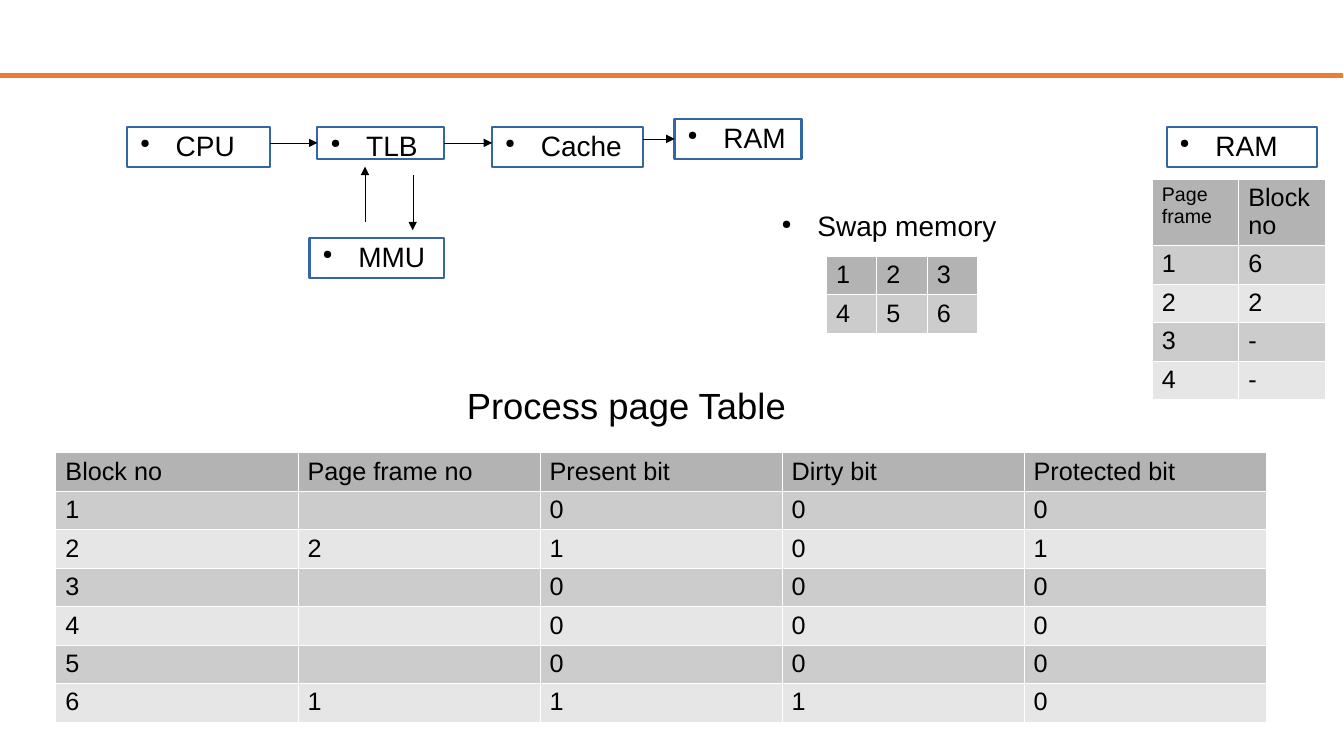
from lxml import etree
from pptx import Presentation
from pptx.dml.color import RGBColor
from pptx.enum import shapes, text
from pptx.oxml import ns
from pptx.util import Cm, Pt

COLORS = {
    "text": "000000", "rule": "ED7D31", "box": "3465A4", "border": "FFFFFF",
    "header": "B3B3B3", "odd": "CCCCCC", "even": "E6E6E6",
}
FONT = "Arial"


def add_xml(parent, tag, **attributes):
    return etree.SubElement(parent, ns.qn(tag), **attributes)


def format_text(frame, size, margins):
    frame.word_wrap = True
    frame.auto_size = text.MSO_AUTO_SIZE.NONE
    frame.margin_left = frame.margin_right = Cm(margins)
    frame.margin_top = frame.margin_bottom = Cm(margins)
    for run in frame.paragraphs[0].runs:
        run.font.size = Pt(size)
        run.font.name = FONT
        run.font.color.rgb = RGBColor.from_string(COLORS["text"])


presentation = Presentation()
presentation.slide_width, presentation.slide_height = Cm(33.87), Cm(19.05)
slide = presentation.slides.add_slide(presentation.slide_layouts[5])

title = slide.shapes.title
title.left, title.top, title.width, title.height = Cm(7.19), Cm(9.6), Cm(17.2), Cm(1.19)
title.text_frame.text = "Process page Table"
title.text_frame.vertical_anchor = text.MSO_ANCHOR.MIDDLE
title.text_frame.paragraphs[0].alignment = text.PP_ALIGN.CENTER
format_text(title.text_frame, 26, 0)

tables = [
    (20.82, 6.45, 1.27, 0.97, [["1", "2", "3"], ["4", "5", "6"]]),
    (1.4, 11.4, 6.1, 0.97, [
        ["Block no", "Page frame no", "Present bit", "Dirty bit", "Protected bit"],
        ["1", "", "0", "0", "0"],
        ["2", "2", "1", "0", "1"],
        ["3", "", "0", "0", "0"],
        ["4", "", "0", "0", "0"],
        ["5", "", "0", "0", "0"],
        ["6", "1", "1", "1", "0"],
    ]),
    (29.03, 4.5, 2.18, 1.68, [
        ["Page frame", "Block no"], ["1", "6"], ["2", "2"], ["3", "-"], ["4", "-"],
    ]),
]
for left, top, column_width, header_height, rows in tables:
    width = column_width * len(rows[0])
    height = header_height + 0.97 * (len(rows) - 1)
    table = slide.shapes.add_table(
        len(rows), len(rows[0]), Cm(left), Cm(top), Cm(width), Cm(height)).table
    table.first_row = table.horz_banding = False
    for column in table.columns:
        column.width = Cm(column_width)
    for row_index, values in enumerate(rows):
        table.rows[row_index].height = Cm(0.97 if row_index else header_height)
        shade = "header" if row_index == 0 else "odd" if row_index % 2 else "even"
        for column_index, value in enumerate(values):
            cell = table.cell(row_index, column_index)
            cell.margin_left = cell.margin_right = Cm(0.25)
            cell.margin_top = cell.margin_bottom = Cm(0.12)
            for side in ("a:lnL", "a:lnR", "a:lnT", "a:lnB"):
                border = add_xml(cell._tc.get_or_add_tcPr(), side, w=str(Pt(0.06)))
                add_xml(add_xml(border, "a:solidFill"), "a:srgbClr", val=COLORS["border"])
            cell.fill.solid()
            cell.fill.fore_color.rgb = RGBColor.from_string(COLORS[shade])
            cell.text_frame.text = value
            paragraph = cell.text_frame.paragraphs[0]
            for run in paragraph.runs:
                run.font.size = Pt(14 if value == "Page frame" else 18)
                run.font.name = FONT
                run.font.color.rgb = RGBColor.from_string(COLORS["text"])
            if not value:
                ending = add_xml(paragraph._p, "a:endParaRPr", sz="1800")
                add_xml(ending, "a:latin", typeface=FONT)

labels = [
    ("swap", "Swap memory", 19.4, 5.25, 8.6, 1),
    ("cpu", "CPU", 3.2, 3.2, 3.6, 1),
    ("tlb", "TLB", 8, 3.2, 3.2, 0.8),
    ("cache", "Cache", 12.4, 3.2, 3.8, 1),
    ("ram", "RAM", 17, 3, 3.2, 1),
    ("mmu", "MMU", 7.8, 6, 3.4, 1),
    ("ram table", "RAM", 29.4, 3.2, 3.8, 1),
]
boxes = {}
for key, label, left, top, width, height in labels:
    bounds = Cm(left), Cm(top), Cm(width), Cm(height)
    if key == "swap":
        shape = slide.shapes.add_textbox(*bounds)
    else:
        shape = slide.shapes.add_shape(shapes.MSO_SHAPE.RECTANGLE, *bounds)
        shape.shadow.inherit = False
        shape.fill.background()
        shape.line.color.rgb = RGBColor.from_string(COLORS["box"])
        shape.line.width = Pt(1.5)
    boxes[key] = shape
    shape.text_frame.text = label
    shape.text_frame.vertical_anchor = text.MSO_ANCHOR.TOP
    format_text(shape.text_frame, 20, 0 if key == "swap" else 0.03)
    paragraph = shape.text_frame.paragraphs[0]
    paragraph.alignment = text.PP_ALIGN.LEFT
    properties = paragraph._p.get_or_add_pPr()
    properties.set("marL", str(Cm(1.2)))
    properties.set("indent", str(Cm(-0.9)))
    add_xml(add_xml(properties, "a:buClr"), "a:srgbClr", val=COLORS["text"])
    add_xml(properties, "a:buSzPct", val="45000")
    add_xml(properties, "a:buChar", char="●")

lines = [
    (-0.03, 1.9, 33.84, 1.9, "rule", 3, None, None),
    (9.2, 5.6, 9.2, 4.2, "text", 0.1, None, None),
    (10.4, 4.4, 10.4, 5.8, "text", 0.1, None, None),
    (11.2, 3.6, 12.4, 3.6, "text", 0.1, "tlb", None),
    (16.2, 3.5, 17, 3.5, "text", 0.1, None, "ram"),
    (6.8, 3.6, 8, 3.6, "text", 0.1, None, "tlb"),
]
for start_x, start_y, end_x, end_y, color, weight, source, target in lines:
    connector = slide.shapes.add_connector(
        shapes.MSO_CONNECTOR.STRAIGHT, Cm(start_x), Cm(start_y), Cm(end_x), Cm(end_y))
    if source:
        connector.begin_connect(boxes[source], 3)
    if target:
        connector.end_connect(boxes[target], 1)
    connector.line.color.rgb = RGBColor.from_string(COLORS[color])
    connector.line.width = Pt(weight)
    if color == "text":
        add_xml(connector.line._get_or_add_ln(), "a:tailEnd", type="triangle")
    add_xml(connector._element.spPr, "a:effectLst")

presentation.save("out.pptx")
